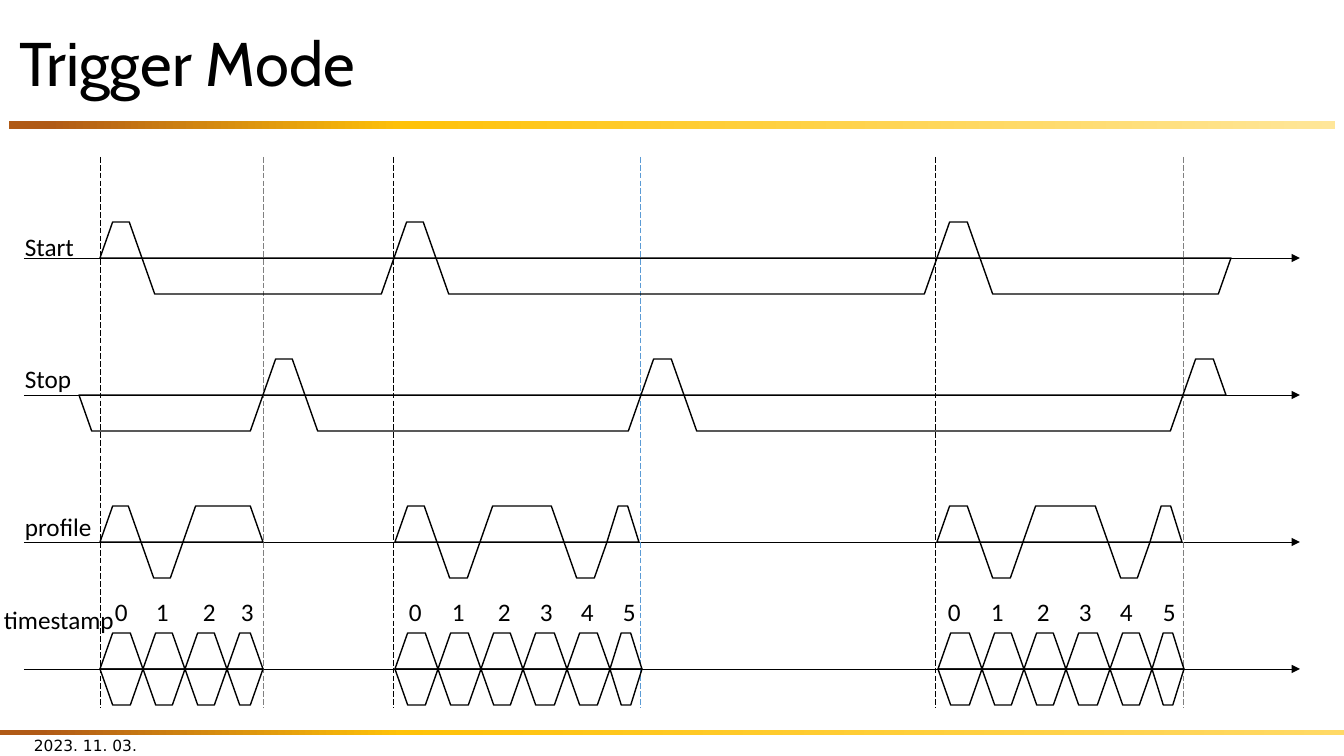
from copy import deepcopy
from itertools import pairwise

from lxml.etree import SubElement
from pptx import Presentation
from pptx.dml.color import RGBColor
from pptx.enum.dml import MSO_LINE
from pptx.enum.shapes import MSO_CONNECTOR, MSO_SHAPE
from pptx.enum.text import MSO_ANCHOR, MSO_AUTO_SIZE, PP_ALIGN
from pptx.oxml.ns import qn
from pptx.util import Emu, Pt

SCALE = 914400 / 100.8
BLACK = RGBColor(0x00, 0x00, 0x00)
GRAY = RGBColor(0x80, 0x80, 0x80)
BLUE = RGBColor(0x5B, 0x9B, 0xD5)
BROWN = RGBColor(0xB0, 0x5A, 0x16)
GOLD = RGBColor(0xFF, 0xC2, 0x08)
CREAM = RGBColor(0xFF, 0xE6, 0x99)
SAND = RGBColor(0xFF, 0xD9, 0x66)
PULSE_HEIGHT = 36


def px(*lengths):
    return [Emu(round(length * SCALE)) for length in lengths]


def add_rule(start_x, start_y, end_x, end_y, color):
    rule = slide.shapes.add_connector(
        MSO_CONNECTOR.STRAIGHT, *px(start_x, start_y, end_x, end_y))
    rule.line.color.rgb = color
    rule.line.width = Pt(0.5)
    SubElement(rule._element.spPr, qn("a:effectLst"))
    return rule


deck = Presentation()
deck.slide_width, deck.slide_height = px(1344, 756)
slide = deck.slides.add_slide(deck.slide_layouts[5])

for left, top, width, height, end_color in [
    (9, 121, 1326, 8, CREAM),
    (0, 730, 1344, 5, SAND),
]:
    band = slide.shapes.add_shape(MSO_SHAPE.RECTANGLE, *px(left, top, width, height))
    band.shadow.inherit = False
    band.line.fill.background()
    band.fill.gradient()
    band.fill.gradient_angle = 0
    stops = band._element.spPr.find(".//" + qn("a:gsLst"))
    stops.append(deepcopy(stops[-1]))
    for stop, position, color in zip(
            band.fill.gradient_stops, (0.03, 0.3, 1), (BROWN, GOLD, end_color)):
        stop.position = position
        stop.color.rgb = color

title = slide.shapes.title
title.left, title.top, title.width, title.height = px(9, 17, 1326, 99)
title.text_frame.vertical_anchor = MSO_ANCHOR.MIDDLE
heading = title.text_frame.paragraphs[0]
heading.alignment = PP_ALIGN.LEFT
heading.line_spacing = 0.9
heading_run = heading.add_run()
heading_run.text = "Trigger Mode"
heading_run.font.name = "Cabin"
heading_run.font.size = Pt(44)
heading_run.font.color.rgb = BLACK

axes = {"Start": 258, "Stop": 395, "profile": 542, "timestamp": 669}
for axis_y in axes.values():
    axis = add_rule(24, axis_y, 1300, axis_y, BLACK)
    SubElement(axis.line._get_or_add_ln(), qn("a:tailEnd"), type="triangle")

for event_x, color in [
    (100, BLACK), (393, BLACK), (935, BLACK),
    (263, GRAY), (640, BLUE), (1183, GRAY),
]:
    event = add_rule(event_x, 157, event_x, 708, color)
    event.line.dash_style = MSO_LINE.LONG_DASH

UP, DOWN = 0, 1
waves = [
    ("Start", UP, [100, 142, 394, 436, 937, 980, 1231]),
    ("Stop", DOWN, [79, 263, 305, 641, 684, 1183, 1226]),
    ("profile", UP, [100, 141, 183, 263]),
    ("profile", UP, [395, 437, 480, 564, 607, 639]),
    ("profile", UP, [937, 980, 1023, 1108, 1150, 1182]),
]
pulses = [
    (signal, left, right, (first + step) % 2)
    for signal, first, edges in waves
    for step, (left, right) in enumerate(pairwise(edges))
]
stamp_edges = [
    [100, 143, 185, 227, 263],
    [395, 438, 481, 523, 567, 610, 642],
    [938, 982, 1024, 1066, 1110, 1152, 1184],
]
pulses += [
    ("timestamp", left, right, direction)
    for edges in stamp_edges
    for left, right in pairwise(edges)
    for direction in (UP, DOWN)
]
for signal, left, right, direction in pulses:
    top = axes[signal] - (PULSE_HEIGHT if direction == UP else 0)
    pulse = slide.shapes.add_shape(
        MSO_SHAPE.TRAPEZOID, *px(left, top, right - left, PULSE_HEIGHT))
    pulse.adjustments[0] = 0.352
    pulse.rotation = 180 * direction
    pulse.shadow.inherit = False
    pulse.fill.background()
    pulse.line.color.rgb = BLACK
    pulse.line.width = Pt(1)

captions = [
    ("Start", 15, 226, 70, False),
    ("Stop", 15, 358, 68, False),
    ("profile", 15, 506, 88, False),
    ("timestamp", -6, 599, 131, False),
]
number_lefts = [
    [105, 146, 193, 231],
    [399, 442, 488, 530, 571, 613],
    [938, 981, 1027, 1069, 1110, 1153],
]
captions += [
    (str(number), left, 591, 33, True)
    for lefts in number_lefts
    for number, left in enumerate(lefts)
]
for words, left, top, width, wraps in captions:
    caption = slide.shapes.add_textbox(*px(left, top, width, 40)).text_frame
    caption.word_wrap = wraps
    caption.auto_size = MSO_AUTO_SIZE.SHAPE_TO_FIT_TEXT
    caption_run = caption.paragraphs[0].add_run()
    caption_run.text = words
    caption_run.font.name = "Calibri"
    caption_run.font.size = Pt(18)
    caption_run.font.color.rgb = BLACK

date = slide.shapes.add_textbox(*px(24, 725, 302, 40)).text_frame
date.word_wrap = True
date.vertical_anchor = MSO_ANCHOR.MIDDLE
date_run = date.paragraphs[0].add_run()
date_run.text = "2023. 11. 03."
date_run.font.name = "DejaVu Sans"
date_run.font.size = Pt(11)
date_run.font.color.rgb = BLACK

deck.save("out.pptx")
